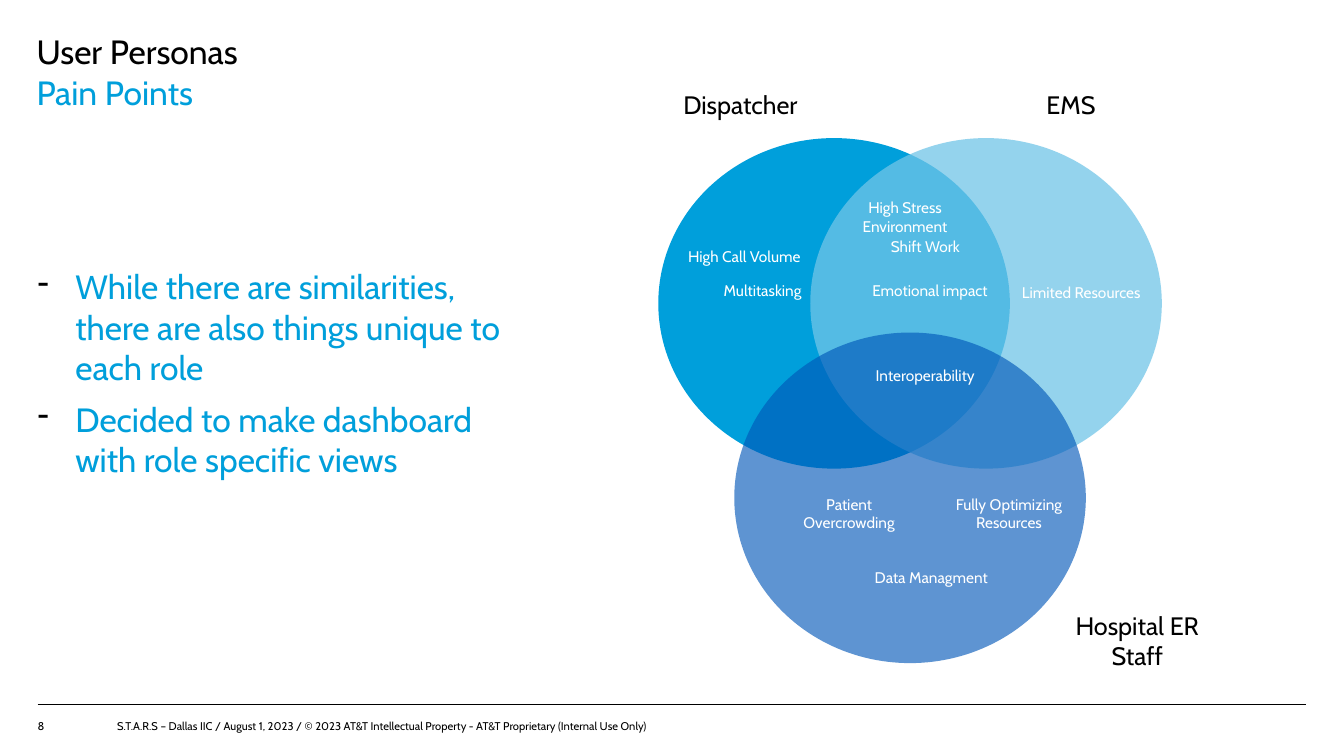
from dataclasses import dataclass

from lxml import etree
from pptx import Presentation
from pptx.dml.color import RGBColor
from pptx.enum.shapes import MSO_CONNECTOR, MSO_SHAPE
from pptx.enum.text import MSO_ANCHOR, MSO_AUTO_SIZE, PP_ALIGN
from pptx.oxml.ns import qn
from pptx.util import Cm, Pt

LEFT, CENTER = PP_ALIGN.LEFT, PP_ALIGN.CENTER
TOP, MIDDLE = MSO_ANCHOR.TOP, MSO_ANCHOR.MIDDLE
OVAL, STRAIGHT = MSO_SHAPE.OVAL, MSO_CONNECTOR.STRAIGHT
TITLE_ONLY = 5

TITLE = ("User Personas", "Pain Points")
TAKEAWAYS = [
    "While there are similarities, there are also things unique to each role",
    "Decided to make dashboard with role specific views",
]
PAGE_NUMBER = "8"
FOOTER = (
    "S.T.A.R.S – Dallas IIC / August 1, 2023 / "
    "© 2023 AT&T Intellectual Property - AT&T Proprietary (Internal Use Only)"
)
# Column, row, colour and opacity in percent; columns and rows count circle steps
CIRCLES = [
    (0, 0, "009FDB", 100),
    (1, 0, "71C5E8", 75),
    (0.5, 1, "0057B8", 63),
]
# Text, left, top and height in centimetres
ROLES = [
    ("Dispatcher", 16.92, 2.24, 0.76),
    ("EMS", 25.25, 2.24, 0.76),
    ("Hospital ER Staff", 26.92, 15.37, 1.55),
]
# Text, horizontal centre, top and width in centimetres
PAIN_POINTS = [
    ("High Call Volume", 18.76, 6.12, 3.48),
    ("Multitasking", 19.22, 6.99, 2.77),
    ("High Stress Environment", 22.81, 4.9, 3.71),
    ("Shift Work", 23.32, 5.87, 2.34),
    ("Emotional impact", 23.44, 6.99, 3.61),
    ("Limited Resources", 27.25, 7.04, 3.76),
    ("Interoperability", 23.32, 9.12, 3.25),
    ("Patient Overcrowding", 21.4, 12.37, 3.89),
    ("Fully Optimizing Resources", 25.43, 12.37, 3.96),
    ("Data Managment", 23.47, 14.22, 3.56),
]


@dataclass(frozen=True)
class Theme:
    font: str = "Cabin"
    ink: str = "000000"
    accent: str = "009FDB"
    light: str = "FFFFFF"
    heading: int = 24
    role: int = 18
    pain_point: int = 11
    footer: int = 8


THEME = Theme()
SLIDE_WIDTH, SLIDE_HEIGHT = 33.87, 19.05
MARGIN = 0.95
CIRCLE_LEFT, CIRCLE_TOP = 16.59, 3.48
CIRCLE_WIDTH, CIRCLE_HEIGHT = 8.86, 8.33
COLUMN_STEP, ROW_STEP = 3.83, 4.9
ROLE_WIDTH = 3.48
FOOTER_TOP, FOOTER_HEIGHT = 18.03, 0.53


def format_runs(paragraph, size, color):
    for run in paragraph.runs:
        run.font.name = THEME.font
        run.font.size = Pt(size)
        run.font.color.rgb = RGBColor.from_string(color)


def set_frame(text_frame, anchor=TOP, inset=(0, 0)):
    text_frame.word_wrap = True
    text_frame.auto_size = MSO_AUTO_SIZE.NONE
    text_frame.vertical_anchor = anchor
    text_frame.margin_left = text_frame.margin_right = Cm(inset[0])
    text_frame.margin_top = text_frame.margin_bottom = Cm(inset[1])


def add_text(slide, box, lines, size, color, align=LEFT, anchor=TOP, inset=(0, 0)):
    """Add a text box at (left, top, width, height) and return its paragraphs."""
    text_frame = slide.shapes.add_textbox(*map(Cm, box)).text_frame
    set_frame(text_frame, anchor, inset)
    text_frame.text = "\n".join(lines)
    for paragraph in text_frame.paragraphs:
        paragraph.alignment = align
        format_runs(paragraph, size, color)
    return text_frame.paragraphs


def add_dash_bullet(paragraph, indent):
    properties = paragraph._p.get_or_add_pPr()
    properties.set("marL", str(Cm(indent)))
    properties.set("indent", str(-Cm(indent)))
    bullet_color = etree.SubElement(properties, qn("a:buClr"))
    etree.SubElement(bullet_color, qn("a:srgbClr"), val=THEME.ink)
    etree.SubElement(properties, qn("a:buChar"), char="-")


def add_title(slide):
    title = slide.shapes.title
    title.left, title.top, title.width, title.height = map(Cm, (0.92, 0.79, 7.42, 3.73))
    set_frame(title.text_frame)
    title.text_frame.text = "\v".join(TITLE)
    paragraph = title.text_frame.paragraphs[0]
    paragraph.alignment = LEFT
    format_runs(paragraph, THEME.heading, THEME.ink)
    paragraph.runs[1].font.color.rgb = RGBColor.from_string(THEME.accent)


def add_takeaways(slide):
    box = (MARGIN, 6.71, 11.91, 6.22)
    for paragraph in add_text(slide, box, TAKEAWAYS, THEME.heading, THEME.accent):
        add_dash_bullet(paragraph, MARGIN)
        paragraph.space_after = Pt(8)


def add_circle(slide, column, row, color, opacity):
    circle = slide.shapes.add_shape(
        OVAL,
        Cm(CIRCLE_LEFT + column * COLUMN_STEP),
        Cm(CIRCLE_TOP + row * ROW_STEP),
        Cm(CIRCLE_WIDTH),
        Cm(CIRCLE_HEIGHT),
    )
    circle.shadow.inherit = False
    circle.line.fill.background()
    circle.fill.solid()
    circle.fill.fore_color.rgb = RGBColor.from_string(color)
    if opacity < 100:
        color_element = circle._element.spPr.find(".//" + qn("a:srgbClr"))
        etree.SubElement(color_element, qn("a:alpha"), val=str(opacity * 1000))


def add_venn(slide):
    for circle in CIRCLES:
        add_circle(slide, *circle)
    for text, left, top, height in ROLES:
        box = (left, top, ROLE_WIDTH, height)
        add_text(slide, box, [text], THEME.role, THEME.ink, CENTER, MIDDLE)
    for text, center, top, width in PAIN_POINTS:
        box = (center - width / 2, top, width, 0.65)
        add_text(slide, box, [text], THEME.pain_point, THEME.light, CENTER, inset=(0.2, 0.1))


def add_footer(slide):
    rule_top = Cm(17.75)
    rule = slide.shapes.add_connector(
        STRAIGHT, Cm(MARGIN), rule_top, Cm(SLIDE_WIDTH - MARGIN), rule_top
    )
    rule.line.color.rgb = RGBColor.from_string(THEME.ink)
    rule.line.width = Pt(0.5)
    etree.SubElement(rule._element.spPr, qn("a:effectLst"))
    for text, left, width in ((PAGE_NUMBER, MARGIN, 2), (FOOTER, 2.95, 14.78)):
        box = (left, FOOTER_TOP, width, FOOTER_HEIGHT)
        add_text(slide, box, [text], THEME.footer, THEME.ink, anchor=MIDDLE)


def main():
    presentation = Presentation()
    presentation.slide_width = Cm(SLIDE_WIDTH)
    presentation.slide_height = Cm(SLIDE_HEIGHT)
    slide = presentation.slides.add_slide(presentation.slide_layouts[TITLE_ONLY])
    add_title(slide)
    add_takeaways(slide)
    add_venn(slide)
    add_footer(slide)
    presentation.save("out.pptx")


if __name__ == "__main__":
    main()
